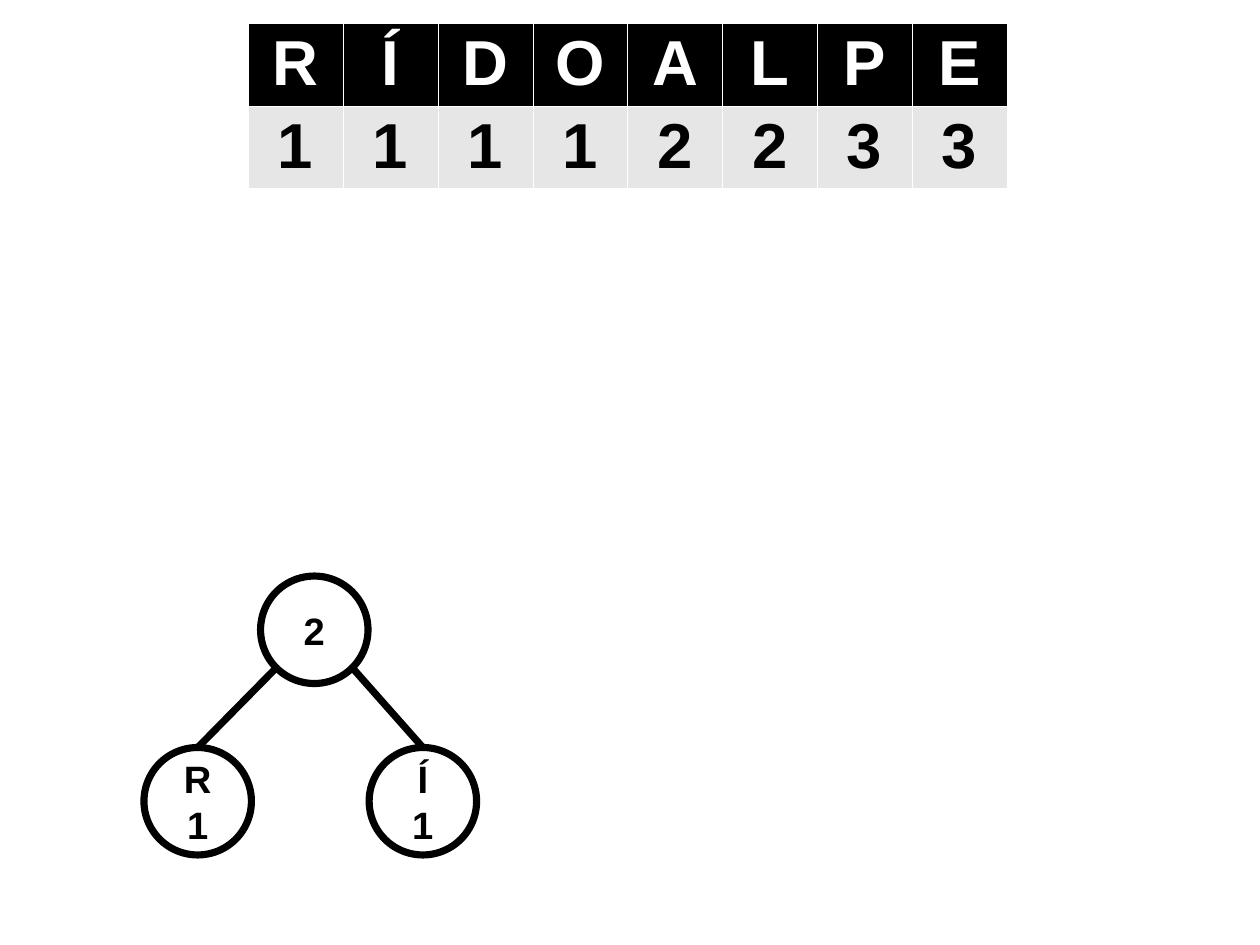
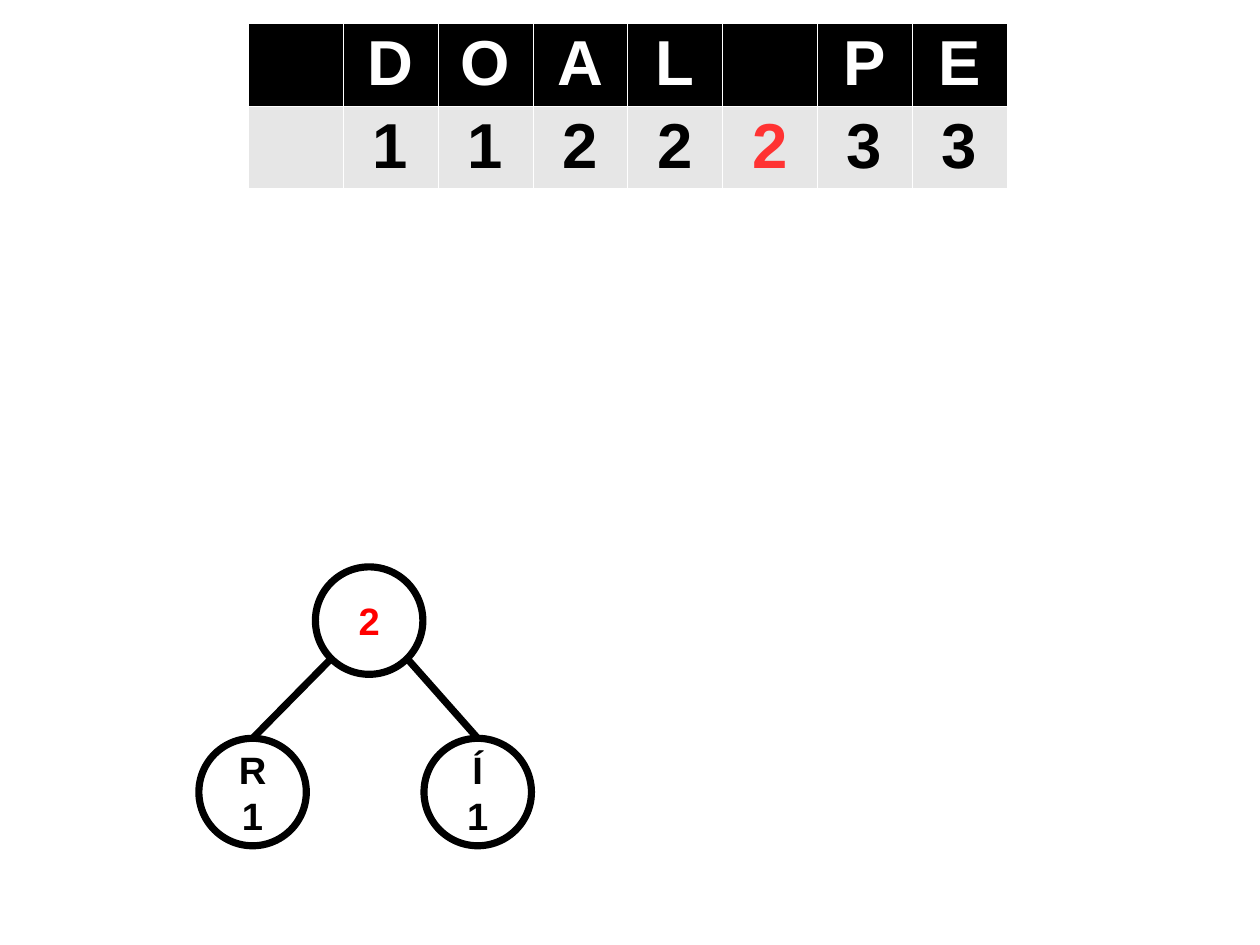
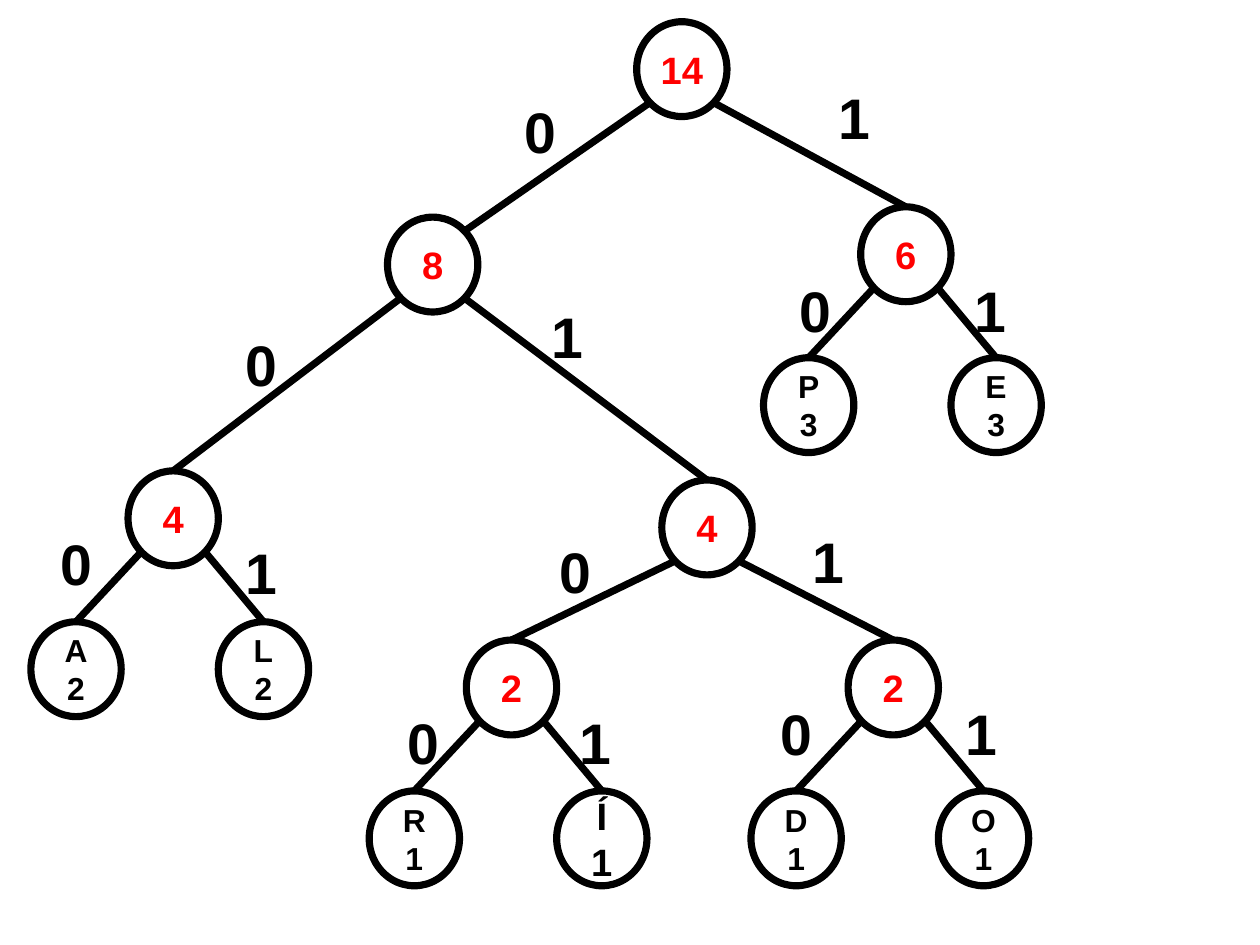
import math

import pptx
import pptx.dml.color
import pptx.enum.shapes
import pptx.enum.text
import pptx.oxml.ns
import pptx.util
from lxml import etree

Inches = pptx.util.Inches
Pt = pptx.util.Pt
CENTER = pptx.enum.text.PP_ALIGN.CENTER

# Shared look; the page is 28 by 21 centimetres
SLIDE_WIDTH, SLIDE_HEIGHT = Inches(28 / 2.54), Inches(21 / 2.54)
BLACK, WHITE, GREY = "000000", "FFFFFF", "E6E6E6"
RED, TABLE_RED = "FF0000", "FF3333"
LINE_WIDTH = Pt(4.5)
FONT_FORMAT = {"name": "Arial", "bold": True}
NODE_FRAME = {
    "word_wrap": False,
    "vertical_anchor": pptx.enum.text.MSO_ANCHOR.MIDDLE,
    "margin_left": Inches(0.13), "margin_right": Inches(0.13),
    "margin_top": Inches(0.08), "margin_bottom": Inches(0.08),
}
LABEL_FRAME = {"word_wrap": True}
CELL_MARGINS = {"margin_top": Inches(0.05), "margin_bottom": Inches(0.03)}

# Points on a circle, as steps from its centre in radii
DIAGONAL = math.sqrt(0.5)
TOP = (0, -1)
UPPER_RIGHT = (DIAGONAL, -DIAGONAL)
LOWER_LEFT = (-DIAGONAL, DIAGONAL)
LOWER_RIGHT = (DIAGONAL, DIAGONAL)

# Node size and the steps from a parent to its two leaves
LARGE = {"size": (0.94, 0.94), "left": -1.02, "right": 0.95, "down": 1.5,
         "leaf_points": 24}
SMALL = {"size": (0.79, 0.83), "left": -0.85, "right": 0.79, "down": 1.32,
         "leaf_points": 20}

# Full tree: inner nodes, edges between them, and branch labels
INNER_NODES = {
    "root": (5.57, 0.19, "14"),
    "eight": (3.39, 1.9, "8"),
    "six": (7.53, 1.81, "6"),
    "four AL": (1.12, 4.12, "4"),
    "four RÍDO": (5.79, 4.2, "4"),
    "two RÍ": (4.08, 5.6, "2"),
    "two DO": (7.42, 5.6, "2"),
}
LEAVES = {
    "six": ("P3", "E3"), "four AL": ("A2", "L2"),
    "two RÍ": ("R1", "Í1"), "two DO": ("D1", "O1"),
}
INNER_EDGES = [
    ("root", LOWER_LEFT, "eight", UPPER_RIGHT),
    ("root", LOWER_RIGHT, "six", TOP),
    ("eight", LOWER_LEFT, "four AL", TOP),
    ("eight", LOWER_RIGHT, "four RÍDO", TOP),
    ("four RÍDO", LOWER_LEFT, "two RÍ", TOP),
    ("four RÍDO", LOWER_RIGHT, "two DO", TOP),
]
BRANCH_LABELS = {
    "0": [(4.49, 0.79), (2.05, 2.83), (6.9, 2.36), (0.43, 4.57),
          (4.8, 4.64), (3.47, 6.14), (6.73, 6.06)],
    "1": [(7.24, 0.67), (4.73, 2.59), (8.43, 2.36), (2.05, 4.65),
          (7.01, 4.56), (4.97, 6.14), (8.35, 6.06)],
}


def rgb(value):
    return pptx.dml.color.RGBColor.from_string(value)


def apply_format(target, values):
    for name, value in values.items():
        setattr(target, name, value)


def fill_solid(target, color):
    target.fill.solid()
    target.fill.fore_color.rgb = rgb(color)


def write_lines(text_frame, lines, points, color, **paragraph_format):
    for index, line in enumerate(lines):
        paragraph = text_frame.paragraphs[0] if index == 0 else text_frame.add_paragraph()
        apply_format(paragraph, paragraph_format)
        run = paragraph.add_run()
        run.text = line
        apply_format(run.font, {**FONT_FORMAT, "size": Pt(points)})
        run.font.color.rgb = rgb(color)


# Frequency table
def set_cell_borders(cell):
    properties = cell._tc.get_or_add_tcPr()
    for position, side in enumerate(("lnL", "lnR", "lnT", "lnB")):
        line = etree.Element(pptx.oxml.ns.qn("a:" + side), w="762")
        solid = etree.SubElement(line, pptx.oxml.ns.qn("a:solidFill"))
        etree.SubElement(solid, pptx.oxml.ns.qn("a:srgbClr"), val=WHITE)
        properties.insert(position, line)


def add_frequency_table(slide, letters, counts, highlighted=None):
    frame = slide.shapes.add_table(2, len(letters), Inches(2.17), Inches(0.2),
                                   Inches(6.64), Inches(1.45))
    rows = ((letters, BLACK, WHITE), (counts, GREY, BLACK))
    for row, (values, background, text_color) in enumerate(rows):
        for column, value in enumerate(values):
            cell = frame.table.cell(row, column)
            fill_solid(cell, background)
            set_cell_borders(cell)
            apply_format(cell, CELL_MARGINS)
            if value:
                color = TABLE_RED if row == 1 and column == highlighted else text_color
                write_lines(cell.text_frame, [value], 40, color, alignment=CENTER)


# Tree parts
def add_node(slide, left, top, size, lines, points, color):
    shape = slide.shapes.add_shape(
        pptx.enum.shapes.MSO_SHAPE.OVAL,
        *(Inches(value) for value in (left, top, *size)))
    shape.shadow.inherit = False
    fill_solid(shape, WHITE)
    shape.line.color.rgb = rgb(BLACK)
    shape.line.width = LINE_WIDTH
    apply_format(shape.text_frame, NODE_FRAME)
    write_lines(shape.text_frame, lines, points, color, alignment=CENTER)
    return shape


def point_on(node, direction):
    return (round(node.left + node.width * (1 + direction[0]) / 2),
            round(node.top + node.height * (1 + direction[1]) / 2))


def add_edge(slide, parent, parent_side, child, child_side=TOP):
    connector = slide.shapes.add_connector(
        pptx.enum.shapes.MSO_CONNECTOR.STRAIGHT,
        *point_on(child, child_side), *point_on(parent, parent_side))
    connector.line.color.rgb = rgb(BLACK)
    connector.line.width = LINE_WIDTH
    etree.SubElement(connector._element.spPr, pptx.oxml.ns.qn("a:effectLst"))


def add_subtree(slide, left, top, count, leaves, layout, color):
    """Add a parent node with its two leaves and return the parent."""
    parent = add_node(slide, left, top, layout["size"], [count], 24, color)
    sides = (("left", LOWER_LEFT), ("right", LOWER_RIGHT))
    for leaf, (side, corner) in zip(leaves, sides):
        points = 24 if leaf == "Í1" else layout["leaf_points"]
        child = add_node(slide, left + layout[side], top + layout["down"],
                         layout["size"], leaf, points, BLACK)
        add_edge(slide, parent, corner, child)
    return parent


def add_branch_label(slide, left, top, digit):
    box = slide.shapes.add_textbox(Inches(left), Inches(top), Inches(0.62), Inches(0.87))
    apply_format(box.text_frame, LABEL_FRAME)
    write_lines(box.text_frame, [digit], 36, BLACK)


def add_full_tree(slide):
    nodes = {name: add_subtree(slide, left, top, count, LEAVES.get(name, ()), SMALL, RED)
             for name, (left, top, count) in INNER_NODES.items()}
    for parent, parent_side, child, child_side in INNER_EDGES:
        add_edge(slide, nodes[parent], parent_side, nodes[child], child_side)
    for digit, positions in BRANCH_LABELS.items():
        for left, top in positions:
            add_branch_label(slide, left, top, digit)


def main():
    presentation = pptx.Presentation()
    presentation.slide_width = SLIDE_WIDTH
    presentation.slide_height = SLIDE_HEIGHT
    blank = presentation.slide_layouts[6]

    # First merge
    slide = presentation.slides.add_slide(blank)
    add_frequency_table(slide, "RÍDOALPE", "11112233")
    add_subtree(slide, 2.28, 5.04, "2", LEAVES["two RÍ"], LARGE, BLACK)

    # Merged node put back in order
    slide = presentation.slides.add_slide(blank)
    add_frequency_table(slide, ["", "D", "O", "A", "L", "", "P", "E"],
                        ["", "1", "1", "2", "2", "2", "3", "3"], highlighted=5)
    add_subtree(slide, 2.76, 4.96, "2", LEAVES["two RÍ"], LARGE, RED)

    # Finished tree
    add_full_tree(presentation.slides.add_slide(blank))

    presentation.save("out.pptx")


if __name__ == "__main__":
    main()
